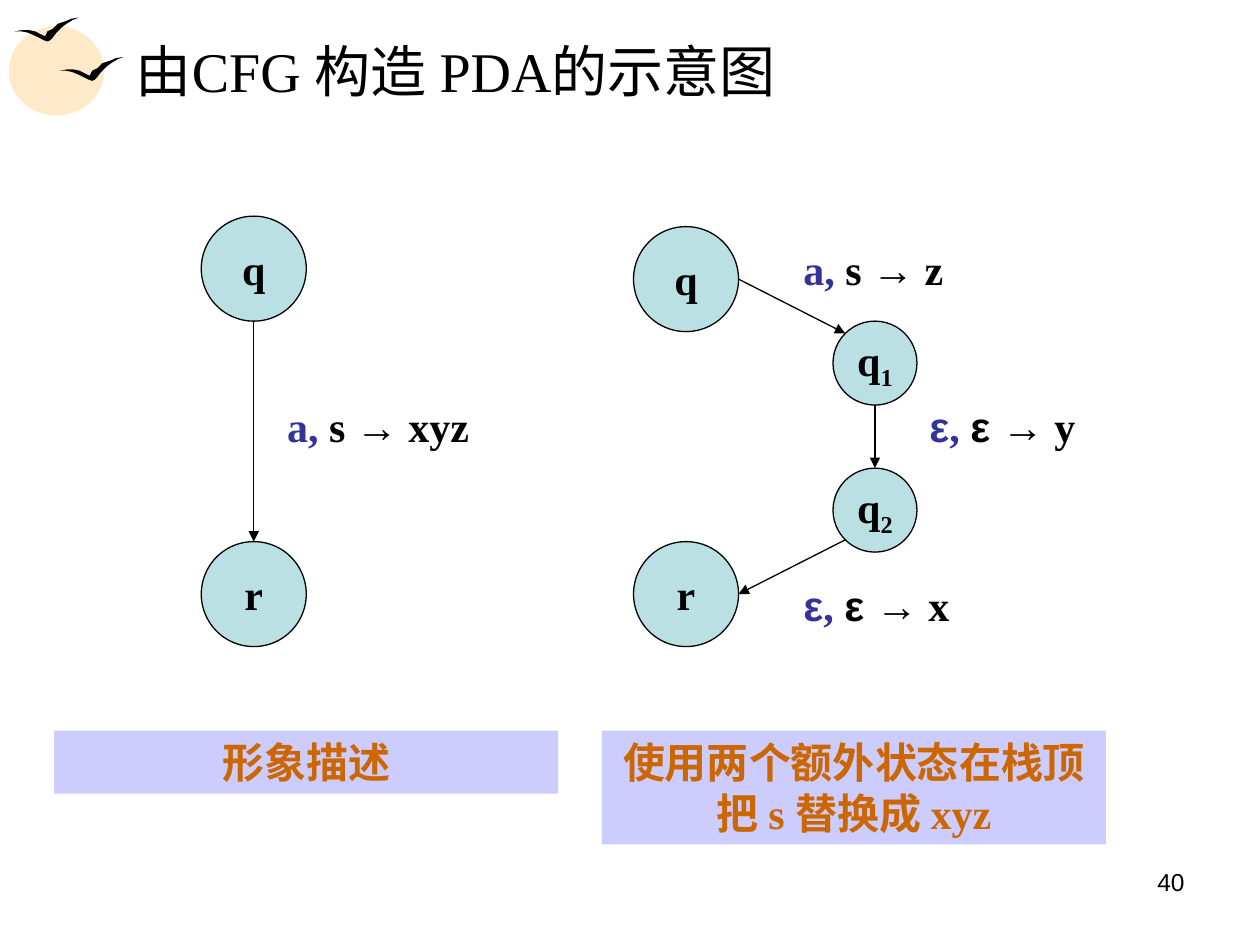
from dataclasses import dataclass

from lxml.etree import SubElement
from pptx import Presentation
from pptx.dml.color import RGBColor
from pptx.enum.shapes import MSO_CONNECTOR, MSO_SHAPE
from pptx.enum.text import MSO_ANCHOR, PP_ALIGN
from pptx.oxml.ns import qn
from pptx.util import Pt

BLACK = RGBColor(0x00, 0x00, 0x00)
SUN = RGBColor(0xFE, 0xE9, 0xC8)
STATE_FILL = RGBColor(0xBB, 0xE0, 0xE3)
CAPTION_FILL = RGBColor(0xCC, 0xCC, 0xFF)
CAPTION_TEXT = RGBColor(0xCC, 0x66, 0x00)
INPUT_TEXT = RGBColor(0x33, 0x33, 0x99)
SERIF = "Times New Roman"
SANS = "Arial"
DIAGONAL = 0.5 ** 0.5
LARGE, SMALL = 30, 24

BIRD_SCALE = Pt(0.1)
BIRD_OUTLINE = [
    (0, 79), (43, 72), (79, 72), (115, 79), (144, 94), (173, 108),
    (187, 79), (216, 65), (245, 36), (288, 22), (324, 7), (367, 0),
    (331, 14), (295, 36), (266, 58), (238, 86), (216, 115), (202, 130),
    (187, 137), (166, 130), (137, 115), (108, 101), (72, 86), (36, 79),
]


@dataclass(frozen=True)
class Span:
    text: str
    color: RGBColor = BLACK
    font: str = SERIF
    size: float = 24
    bold: bool = True
    baseline: int = 0


@dataclass(frozen=True)
class Box:
    left: float
    top: float
    width: float
    height: float

    def lengths(self) -> list:
        return [Pt(value) for value in (self.left, self.top, self.width, self.height)]


@dataclass(frozen=True)
class State:
    name: str
    center_x: float
    center_y: float
    radius: float
    index: str = ""

    def edge(self, across: float, down: float) -> tuple[float, float]:
        return self.center_x + self.radius * across, self.center_y + self.radius * down


@dataclass(frozen=True)
class Label:
    box: Box
    spans: list[Span]


@dataclass(frozen=True)
class Caption:
    box: Box
    text: str


def write(shape, spans: list[Span], alignment=PP_ALIGN.LEFT,
          anchor=MSO_ANCHOR.TOP, wrap: bool = True) -> None:
    frame = shape.text_frame
    frame.word_wrap = wrap
    frame.vertical_anchor = anchor
    paragraph = frame.paragraphs[0]
    paragraph.alignment = alignment
    for span in spans:
        run = paragraph.add_run()
        run.text = span.text
        run.font.color.rgb = span.color
        formats = {"name": span.font, "size": Pt(span.size), "bold": span.bold}
        for attribute, value in formats.items():
            setattr(run.font, attribute, value)
        if span.baseline:
            run.font._element.set("baseline", str(span.baseline))


def paint(shape, color: RGBColor, outlined: bool = False) -> None:
    shape.shadow.inherit = False
    shape.fill.solid()
    shape.fill.fore_color.rgb = color
    if outlined:
        shape.line.color.rgb = BLACK
        shape.line.width = Pt(0.75)
    else:
        shape.line.fill.background()


def add_filled(slide, preset, box: Box, color: RGBColor, outlined: bool = False):
    shape = slide.shapes.add_shape(preset, *box.lengths())
    paint(shape, color, outlined)
    return shape


def add_text(slide, box: Box, spans: list[Span], **layout) -> None:
    write(slide.shapes.add_textbox(*box.lengths()), spans, **layout)


def add_bird(slide, left: float, top: float) -> None:
    builder = slide.shapes.build_freeform(*BIRD_OUTLINE[0], scale=BIRD_SCALE)
    builder.add_line_segments(BIRD_OUTLINE[1:], close=True)
    paint(builder.convert_to_shape(Pt(left), Pt(top)), BLACK)


def add_state(slide, state: State) -> None:
    left, top = state.edge(-1, -1)
    box = Box(left, top, 2 * state.radius, 2 * state.radius)
    shape = add_filled(slide, MSO_SHAPE.OVAL, box, STATE_FILL, outlined=True)
    spans = [Span(state.name)]
    if state.index:
        spans.append(Span(state.index, baseline=-25000))
    write(shape, spans, PP_ALIGN.CENTER, MSO_ANCHOR.MIDDLE, wrap=False)


def add_arrow(slide, start: tuple[float, float], end: tuple[float, float]) -> None:
    ends = [Pt(value) for value in (*start, *end)]
    connector = slide.shapes.add_connector(MSO_CONNECTOR.STRAIGHT, *ends)
    connector.line.color.rgb = BLACK
    connector.line.width = Pt(0.75)
    line = connector.line._get_or_add_ln()
    SubElement(line, qn("a:tailEnd"), type="triangle")
    SubElement(connector._element.spPr, qn("a:effectLst"))


def read_letter(result: str) -> list[Span]:
    return [Span("a, ", INPUT_TEXT), Span("s "), Span("→", font=SANS), Span(f" {result}")]


def read_nothing(result: str) -> list[Span]:
    return [Span("ε", INPUT_TEXT, SANS), Span(", ", INPUT_TEXT),
            Span("ε →", font=SANS), Span(f" {result}")]


def main() -> None:
    presentation = Presentation()
    presentation.slide_width = Pt(720)
    presentation.slide_height = Pt(540)
    slide = presentation.slides.add_slide(presentation.slide_layouts[6])

    for box in (Box(5, 15, 54.5, 51), Box(14.5, 20, 45, 39.5)):
        add_filled(slide, MSO_SHAPE.OVAL, box, SUN)
    for left, top in ((34, 32.5), (8.5, 10)):
        add_bird(slide, left, top)

    add_text(slide, Box(70.5, 15, 614, 50),
             [Span("由CFG 构造 PDA的示意图", size=32, bold=False)],
             anchor=MSO_ANCHOR.MIDDLE)
    add_text(slide, Box(516, 492, 168, 37.5),
             [Span("40", font=SANS, size=14, bold=False)], alignment=PP_ALIGN.RIGHT)

    simple_start = State("q", 145, 153.5, LARGE)
    simple_end = State("r", 145, 339.5, LARGE)
    start = State("q", 392, 159.5, LARGE)
    first = State("q", 500, 207.5, SMALL, "1")
    second = State("q", 500, 291.5, SMALL, "2")
    end = State("r", 392, 339.5, LARGE)
    for state in (simple_start, simple_end, start, first, second, end):
        add_state(slide, state)

    arrows = [
        (simple_start.edge(0, 1), simple_end.edge(0, -1)),
        (start.edge(1, 0), first.edge(-DIAGONAL, -DIAGONAL)),
        (first.edge(0, 1), second.edge(0, -1)),
        (second.edge(-DIAGONAL, DIAGONAL), end.edge(1, 0)),
    ]
    for arrow_start, arrow_end in arrows:
        add_arrow(slide, arrow_start, arrow_end)

    labels = [
        Label(Box(157, 225.5, 138, 36), read_letter("xyz")),
        Label(Box(452, 135.5, 114, 36), read_letter("z")),
        Label(Box(524, 225.5, 114, 36), read_nothing("y")),
        Label(Box(452, 327.5, 114, 36), read_nothing("x")),
    ]
    for label in labels:
        add_text(slide, label.box, label.spans)

    captions = [
        Caption(Box(31, 417.5, 288, 36), "形象描述"),
        Caption(Box(344, 417.5, 288, 65), "使用两个额外状态在栈顶把 s 替换成 xyz"),
    ]
    for caption in captions:
        shape = add_filled(slide, MSO_SHAPE.RECTANGLE, caption.box, CAPTION_FILL)
        write(shape, [Span(caption.text, CAPTION_TEXT)], PP_ALIGN.CENTER)

    presentation.save("out.pptx")


if __name__ == "__main__":
    main()
